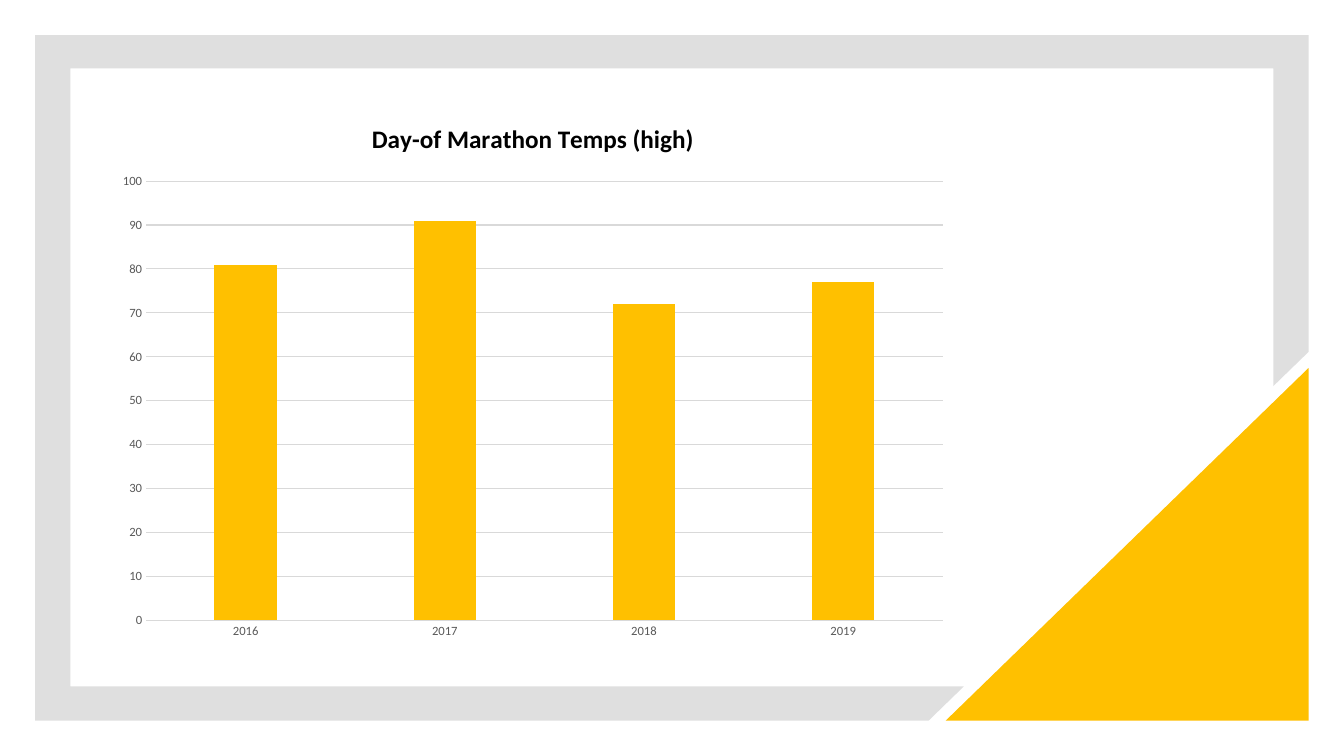
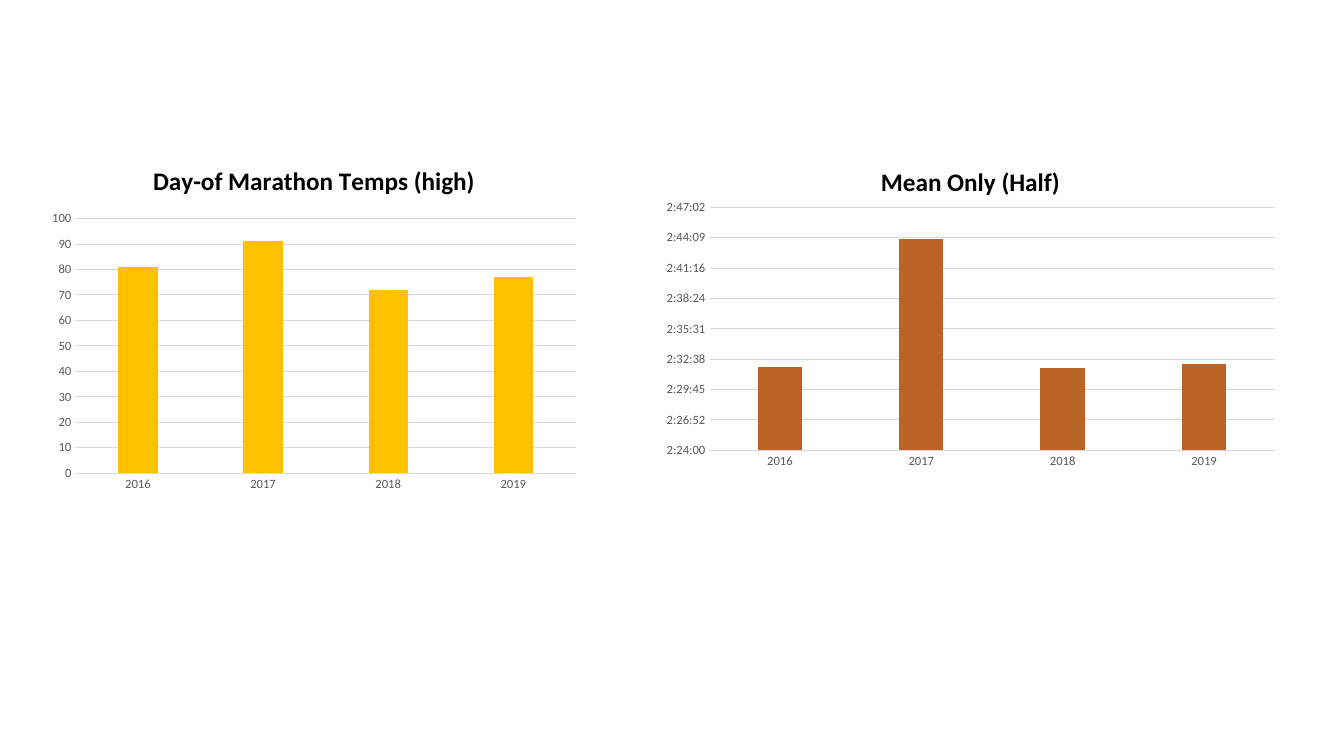
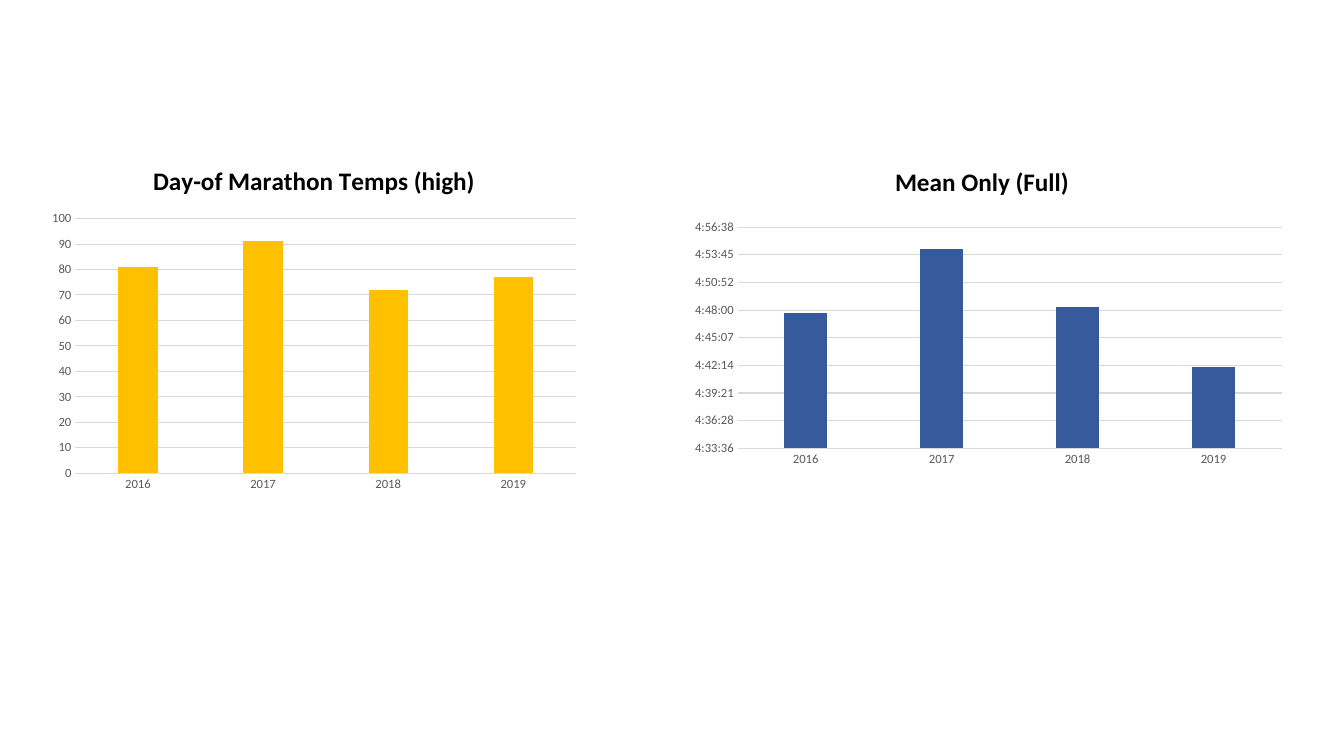
"""Build three slides comparing marathon-day temperatures with mean finish times."""
from lxml.etree import SubElement
from pptx import Presentation
from pptx.chart.data import CategoryChartData
from pptx.dml.color import RGBColor
from pptx.enum.chart import XL_CHART_TYPE, XL_TICK_MARK
from pptx.enum.shapes import MSO_SHAPE
from pptx.oxml import parse_xml
from pptx.oxml.ns import nsdecls, qn
from pptx.util import Inches, Pt

FONT = "Calibri"
BLACK, LABEL, GRID, WHITE = "000000", "595959", "D9D9D9", "FFFFFF"
GOLD, RUST, BLUE, GRAY = "FFC000", "BB6327", "365A9B", "808080"
YEARS = ["2016", "2017", "2018", "2019"]
TEMPS = ("Day-of Marathon Temps (high)", [81, 91, 72, 77], GOLD, (0, 100, 10), "General")
TIME_FORMAT = "h:mm:ss;@"
HALF = ("Mean Only (Half)", [0.1055, 0.1139, 0.1054, 0.1057], RUST, (0.1, 0.116, 0.002), TIME_FORMAT)
FULL = ("Mean Only (Full)", [0.1998, 0.2044, 0.2002, 0.1959], BLUE, (0.19, 0.206, 0.002), TIME_FORMAT)


def color(code):
    return RGBColor.from_string(code)


def add_columns(page, place, content, plot=None):
    title, values, fill, scale, number_format = content
    data = CategoryChartData(number_format=number_format)
    data.categories = YEARS
    data.add_series("Series 1", values)
    frame = page.shapes.add_chart(
        XL_CHART_TYPE.COLUMN_CLUSTERED, *[Inches(length) for length in place], data)
    chart = frame.chart
    chart.has_legend = False
    chart.font.name, chart.font.size = FONT, Pt(10)
    chart.font.color.rgb = color(BLACK)

    chart.has_title = True
    chart.chart_title.include_in_layout = False
    span = chart.chart_title.text_frame.paragraphs[0].add_run()
    span.text = title
    span.font.name, span.font.size, span.font.bold = FONT, Pt(18), True
    span.font.color.rgb = color(BLACK)

    columns = chart.plots[0]
    columns.gap_width, columns.overlap = 219, -27
    columns.vary_by_categories = False
    columns.series[0].format.fill.solid()
    columns.series[0].format.fill.fore_color.rgb = color(fill)

    years, amounts = chart.category_axis, chart.value_axis
    for axis in (years, amounts):
        axis.major_tick_mark = axis.minor_tick_mark = XL_TICK_MARK.NONE
        axis.tick_labels.font.name = FONT
        axis.tick_labels.font.size = Pt(9)
        axis.tick_labels.font.color.rgb = color(LABEL)
    amounts.minimum_scale, amounts.maximum_scale, amounts.major_unit = scale
    amounts.tick_labels.number_format = number_format
    amounts.tick_labels.number_format_is_linked = False
    amounts.has_major_gridlines = True
    lines = [(years.format.line, GRID), (amounts.major_gridlines.format.line, GRID)]
    if plot:
        lines.append((amounts.format.line, WHITE))
    else:
        amounts.format.line.fill.background()
    for line, code in lines:
        line.color.rgb = color(code)
        line.width = Pt(0.75)

    if plot:
        area = chart.plots[0]._element.getparent()
        for old in area.findall(qn("c:layout")):
            area.remove(old)
        layout = parse_xml(f"<c:layout {nsdecls('c')}><c:manualLayout/></c:layout>")
        settings = [("layoutTarget", "inner"), ("xMode", "edge"), ("yMode", "edge")]
        settings += zip("xywh", plot)
        for name, value in settings:
            SubElement(layout[0], qn(f"c:{name}")).set("val", str(value))
        area.insert(0, layout)


deck = Presentation()
deck.slide_width, deck.slide_height = Inches(13.33), Inches(7.5)
blank = deck.slide_layouts[6]

page = deck.slides.add_slide(blank)
outline = [(0.35, 0.35), (12.98, 0.35), (12.98, 3.49), (12.63, 3.83), (12.63, 0.68),
           (0.7, 0.68), (0.7, 6.81), (9.56, 6.81), (9.21, 7.15), (0.35, 7.15)]
points = [(Inches(x), Inches(y)) for x, y in outline]
builder = page.shapes.build_freeform(*points[0])
builder.add_line_segments(points[1:], close=True)
border = builder.convert_to_shape()
corner = page.shapes.add_shape(
    MSO_SHAPE.RIGHT_TRIANGLE, Inches(9.38), Inches(3.65), Inches(3.6), Inches(3.5))
for shape, code in ((border, GRAY), (corner, GOLD)):
    shape.shadow.inherit = False
    shape.fill.solid()
    shape.fill.fore_color.rgb = color(code)
    shape.line.fill.background()
tint = border._element.spPr.find(".//" + qn("a:srgbClr"))
SubElement(tint, qn("a:alpha")).set("val", "25000")
corner._element.spPr.find(qn("a:xfrm")).set("flipH", "1")
add_columns(page, (1.05, 1, 8.47, 5.45), TEMPS)

comparisons = [
    (HALF, (6.33, 1.45, 6.59, 3.92), (0.107, 0.155, 0.851, 0.615)),
    (FULL, (6.51, 1.45, 6.46, 3.88), (0.125, 0.207, 0.835, 0.566)),
]
for times, place, plot in comparisons:
    page = deck.slides.add_slide(blank)
    add_columns(page, (0.41, 1.45, 5.41, 3.5), TEMPS)
    add_columns(page, place, times, plot)

deck.save("out.pptx")
